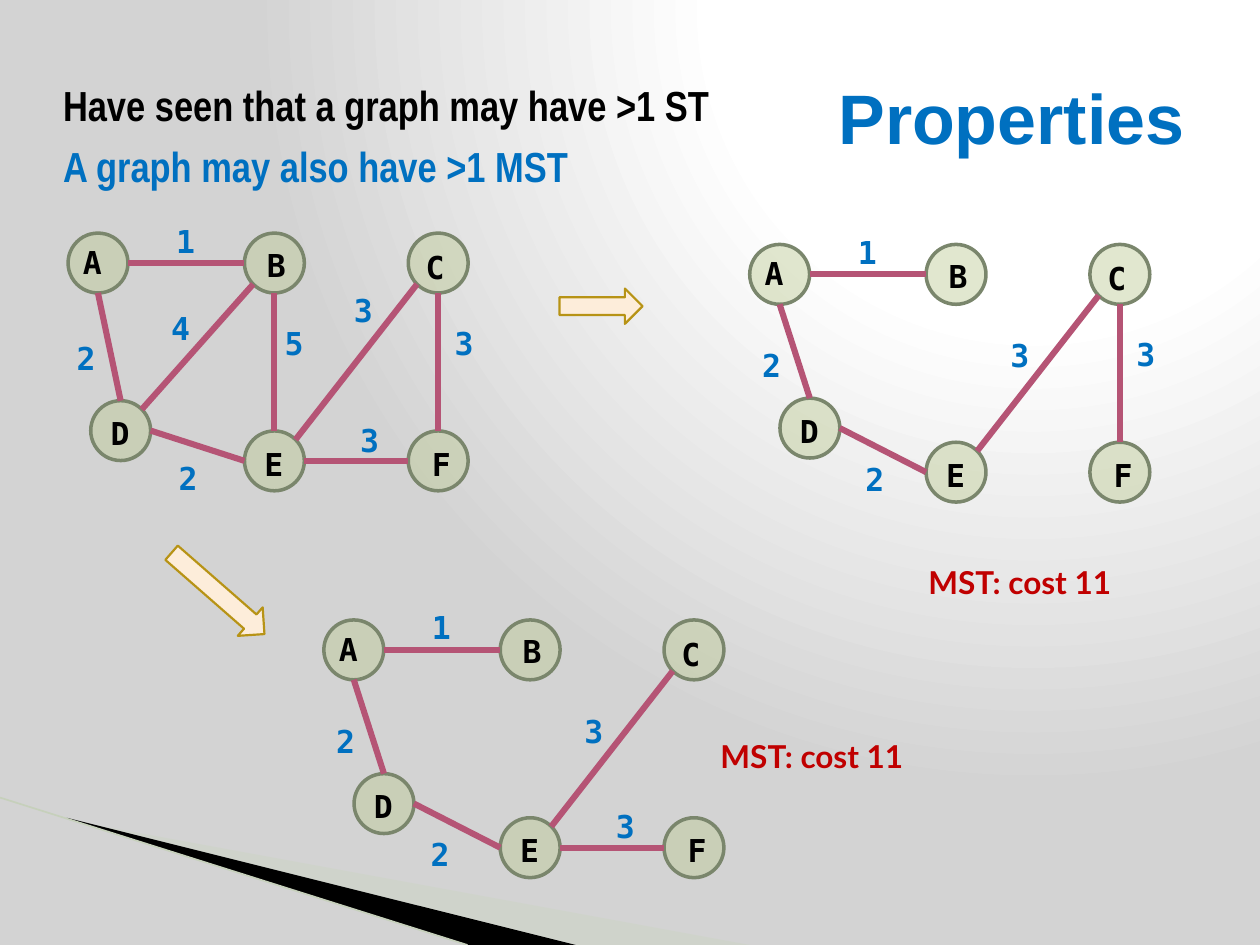
from dataclasses import dataclass, field
from math import sqrt

from lxml.etree import SubElement
from pptx import Presentation
from pptx.dml.color import RGBColor
from pptx.enum.shapes import MSO_CONNECTOR as Conn, MSO_SHAPE as Shape
from pptx.enum.text import MSO_ANCHOR as Anchor, MSO_AUTO_SIZE as AutoSize, PP_ALIGN as Align
from pptx.oxml import parse_xml
from pptx.oxml.ns import nsdecls, qn
from pptx.util import Inches, Pt

COLORS = {
    "black": "000000", "blue": "0070C0", "red": "C00000", "edge": "B55475",
    "node": "BECB95", "node_line": "7A866C", "arrow": "FDEDDA",
    "arrow_line": "B79315", "sweep": "CBD4C0", "sweep_line": "C6D0BB",
    "bg_light": "FFFFFF", "bg_dark": "D3D3D3",
}
MONO = "DejaVu Sans Mono"
WIDTH, HEIGHT = Inches(10), Inches(7.5)
COL, ROW = WIDTH / 100, HEIGHT / 75  # grid of 100 columns by 75 rows
NODE = 4.75                          # node diameter in grid units

Point = tuple[float, float]


@dataclass
class Node:
    at: Point       # from the graph's origin
    label: Point    # letter box, from the node's corner
    width: float


@dataclass
class Edge:
    start: str      # side of the first node
    end: str        # side of the second node
    weight: str
    label: Point    # weight box, from the graph's origin


@dataclass
class Graph:
    origin: Point
    edges: str
    moved_nodes: dict[str, Point] = field(default_factory=dict)
    moved_weights: dict[str, Point] = field(default_factory=dict)


NODES = {
    "A": Node((0, 0), (0.2, 0.3), 4.2),
    "B": Node((14, 0), (0.8, 0.5), 4.1),
    "C": Node((27, 0), (0.4, 0.7), 4.4),
    "D": Node((2.4, 12.2), (0.6, 0.6), 2.7),
    "E": Node((14, 15.7), (0.6, 0.6), 2.8),
    "F": Node((27, 15.7), (0.9, 0.6), 2.8),
}
EDGES = {
    "AB": Edge("right", "left", "1", (7.6, -1.4)),
    "AD": Edge("bottom", "top", "2", (0, 7.6)),
    "BD": Edge("lower left", "upper right", "4", (7.2, 5.5)),
    "BE": Edge("bottom", "top", "5", (16.2, 6.7)),
    "CE": Edge("lower left", "upper right", "3", (19.7, 6.8)),
    "CF": Edge("bottom", "top", "3", (29.7, 6.7)),
    "DE": Edge("right", "left", "2", (8.2, 16.6)),
    "EF": Edge("right", "left", "3", (22.2, 14.4)),
}
DIAG = sqrt(0.5)
SIDES = {
    "top": (0, -1), "bottom": (0, 1), "left": (-1, 0), "right": (1, 0),
    "lower left": (-DIAG, DIAG), "upper right": (DIAG, -DIAG),
}
GRAPHS = [
    Graph((5.4, 18.5), "AB AD BD BE CE CF DE EF", {"D": (1.8, 13.3)},
          {"AD": (-0.3, 7.9), "CE": (21.7, 4.1), "DE": (7.8, 17.4)}),
    Graph((59.5, 19.4), "AB AD CE CF DE"),
    Graph((25.7, 49.2), "AB AD CE DE EF", {}, {"DE": (7.5, 16.6)}),
]


def x(cols: float) -> int:
    return round(cols * COL)


def y(rows: float) -> int:
    return round(rows * ROW)


def rgb(name: str) -> RGBColor:
    return RGBColor.from_string(COLORS[name])


def set_font(p, name: str, size: float, color: str) -> None:
    p.font.name, p.font.size, p.font.bold = name, Pt(size), True
    p.font.color.rgb = rgb(color)


def paint(sp, fill: str, line: str | None = None, width: float = 1, alpha: int = 100) -> None:
    sp.shadow.inherit = False
    sp.fill.solid()
    sp.fill.fore_color.rgb = rgb(fill)
    if alpha < 100:
        clr = sp.fill._xPr.find(qn("a:solidFill"))[0]
        SubElement(clr, qn("a:alpha")).set("val", str(alpha * 1000))
    if line:
        sp.line.color.rgb = rgb(line)
        sp.line.width = Pt(width)
    else:
        sp.line.fill.background()


def add_line(shapes, start: Point, end: Point, color: str, width: float) -> None:
    cx = shapes.add_connector(Conn.STRAIGHT, x(start[0]), y(start[1]), x(end[0]), y(end[1]))
    cx.line.color.rgb = rgb(color)
    cx.line.width = Pt(width)
    SubElement(cx._element.spPr, qn("a:effectLst"))


def add_text(shapes, at: Point, width: float, text: str, font: str, color: str) -> None:
    tf = shapes.add_textbox(x(at[0]), y(at[1]), x(width), y(4)).text_frame
    tf.word_wrap, tf.auto_size = True, AutoSize.SHAPE_TO_FIT_TEXT
    tf.text = text
    set_font(tf.paragraphs[0], font, 18, color)


def add_freeform(shapes, points: list[Point], fill: str, alpha: int) -> None:
    fb = shapes.build_freeform(x(points[0][0]), y(points[0][1]))
    fb.add_line_segments([(x(c), y(r)) for c, r in points[1:]])
    paint(fb.convert_to_shape(), fill, alpha=alpha)


def add_arrow(shapes, at: Point, size: Point, rotation: float = 0) -> None:
    sp = shapes.add_shape(Shape.RIGHT_ARROW, x(at[0]), y(at[1]), x(size[0]), y(size[1]))
    sp.rotation = rotation
    paint(sp, "arrow", "arrow_line", 1.25)


def add_graph(s, graph: Graph) -> None:
    shapes = s.shapes.add_group_shape().shapes

    def place(offset: Point) -> Point:
        return graph.origin[0] + offset[0], graph.origin[1] + offset[1]

    corners = {k: place(graph.moved_nodes.get(k, n.at)) for k, n in NODES.items()}

    def touch(name: str, side: str) -> Point:
        (left, top), (dx, dy) = corners[name], SIDES[side]
        return left + NODE / 2 * (1 + dx), top + NODE / 2 * (1 + dy)

    for left, top in corners.values():
        sp = shapes.add_shape(Shape.OVAL, x(left), y(top), x(NODE), y(NODE))
        paint(sp, "node", "node_line", 2, 45)
    for key in graph.edges.split():
        edge = EDGES[key]
        add_line(shapes, touch(key[0], edge.start), touch(key[1], edge.end), "edge", 3.5)
        add_text(shapes, place(graph.moved_weights.get(key, edge.label)), 4.1,
                 edge.weight, MONO, "blue")
    for name, node in NODES.items():
        left, top = corners[name]
        add_text(shapes, (left + node.label[0], top + node.label[1]), node.width,
                 name, MONO, "black")


def set_background(s) -> None:
    s.background.fill.solid()
    bg_pr = s._element.cSld.find(qn("p:bg")).find(qn("p:bgPr"))
    stops = "".join(f'<a:gs pos="{pos}000"><a:srgbClr val="{COLORS[c]}"/></a:gs>'
                    for pos, c in ((0, "bg_light"), (40, "bg_light"), (100, "bg_dark")))
    grad = parse_xml(f'<a:gradFill {nsdecls("a")} rotWithShape="1"><a:gsLst>{stops}</a:gsLst>'
                     '<a:path path="circle"><a:fillToRect l="65000" b="98000"/></a:path>'
                     '</a:gradFill>')
    bg_pr.replace(bg_pr.find(qn("a:solidFill")), grad)


def main() -> None:
    prs = Presentation()
    prs.slide_width, prs.slide_height = WIDTH, HEIGHT
    s = prs.slides.add_slide(prs.slide_layouts[5])
    set_background(s)

    # Sweep in the lower left corner
    add_freeform(s.shapes, [(5.5, 65.1), (59.5, 75), (45.6, 75), (5.5, 65)], "sweep", 40)
    add_freeform(s.shapes, [(5.3, 64.9), (45.7, 75), (37.2, 75), (5.4, 65)], "black", 100)
    add_line(s.shapes, (0, 63.3), (37.1, 75), "sweep_line", 0.95)

    # Title
    title = s.shapes.title
    title.left, title.top, title.width, title.height = x(63.9), y(3), x(31.1), y(12.5)
    tf = title.text_frame
    tf.text, tf.vertical_anchor = "Properties", Anchor.MIDDLE
    tf.paragraphs[0].alignment = Align.RIGHT
    set_font(tf.paragraphs[0], "Arial", 40, "blue")

    # Statements
    tf = s.shapes.add_textbox(x(2.8), y(5.8), x(58.9), y(61.5)).text_frame
    tf.word_wrap, tf.margin_left = True, x(2.2)
    tf.text = "Have seen that a graph may have >1 ST\nA graph may also have >1 MST"
    for p, color in zip(tf.paragraphs, ("black", "blue")):
        set_font(p, "Arial Narrow", 24, color)
    tf.paragraphs[1].space_before = Pt(6)

    # Graph and its two minimum spanning trees
    for graph in GRAPHS:
        add_graph(s, graph)
    add_arrow(s.shapes, (44.4, 22.9), (6.6, 2.8))
    add_arrow(s.shapes, (12.4, 45.6), (9.8, 3), 41.2)
    for at in ((72.7, 44.2), (56.2, 58)):
        add_text(s.shapes, at, 20.3, "MST: cost 11", "Lato", "red")

    prs.save("out.pptx")


if __name__ == "__main__":
    main()
